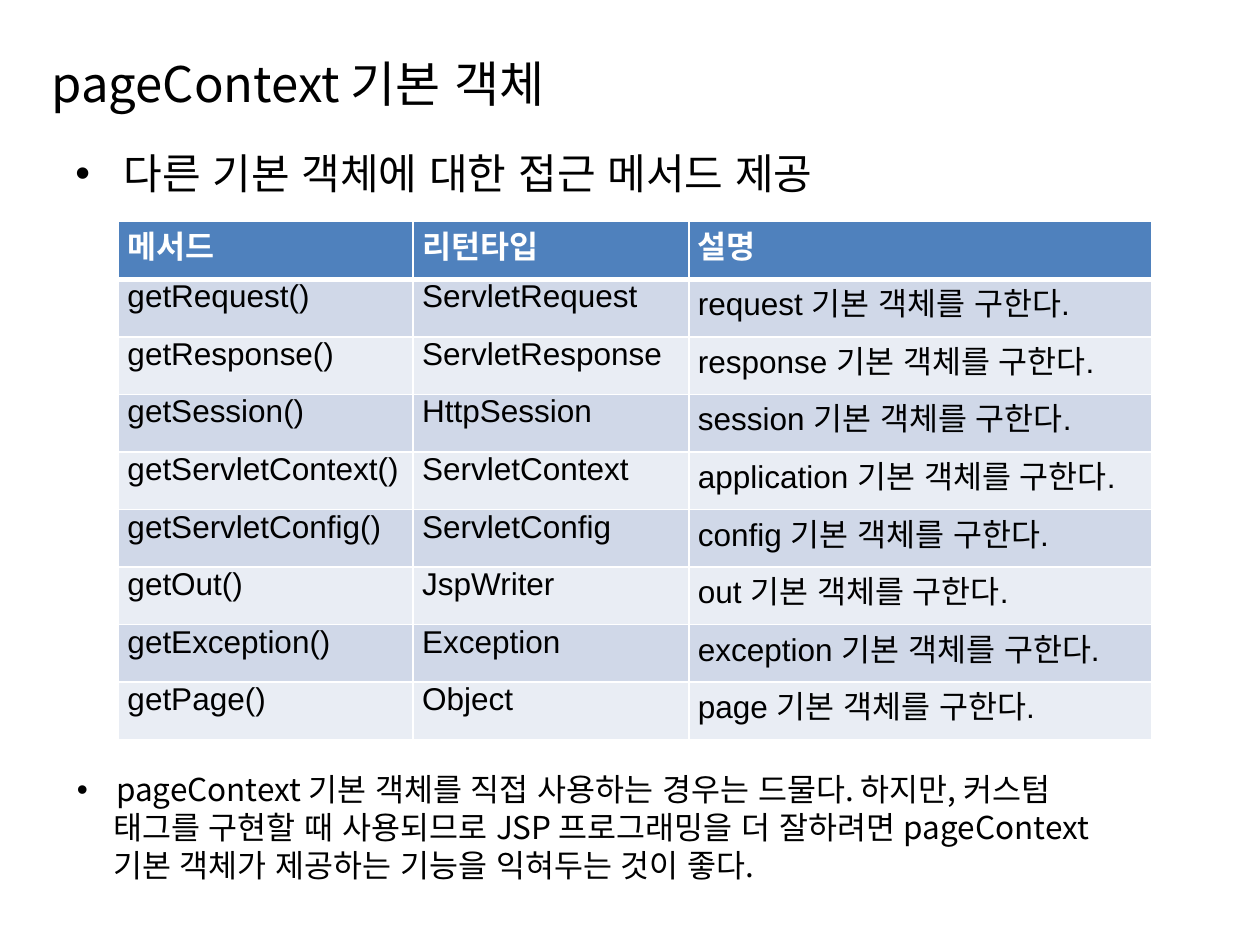
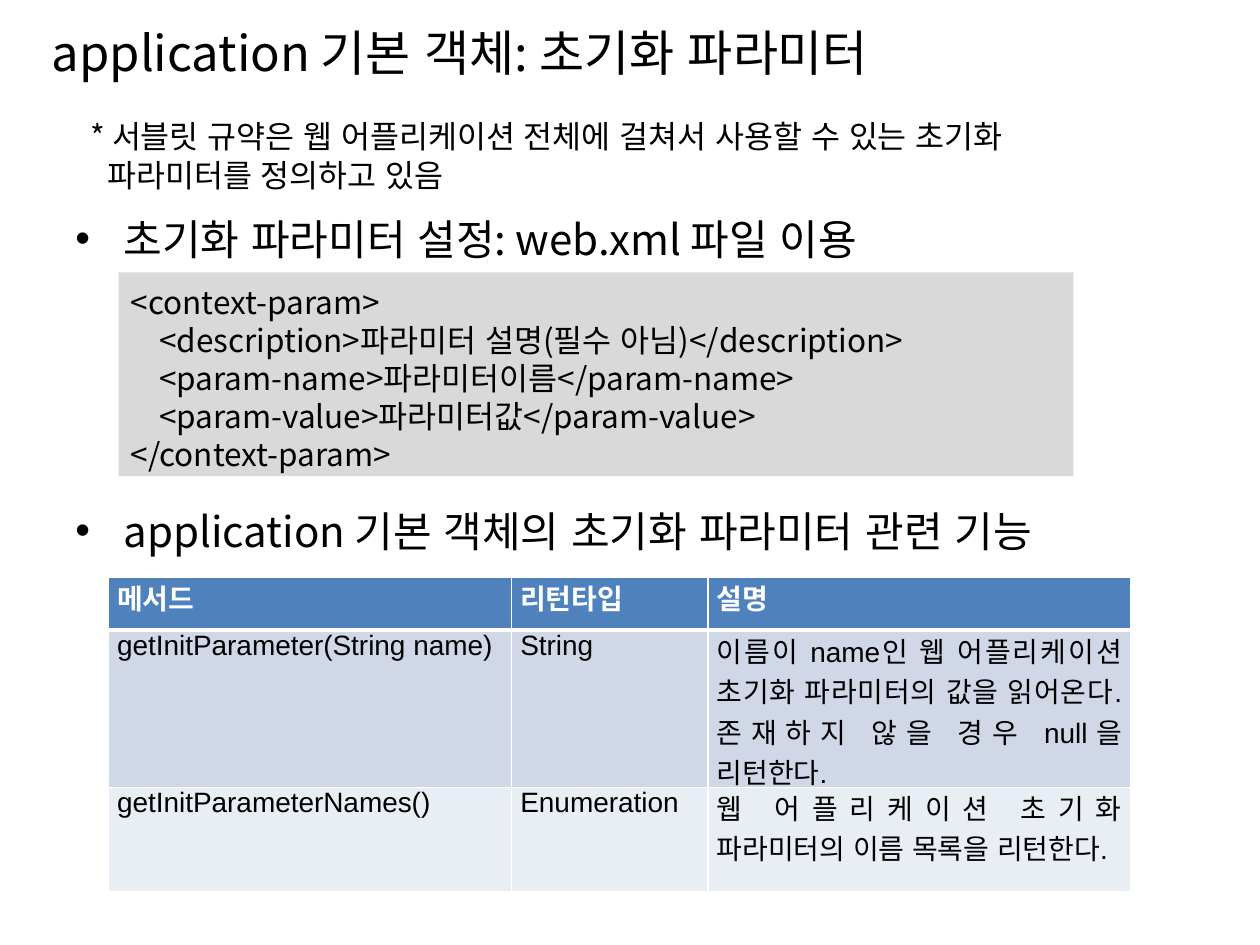
from lxml import etree
from pptx import Presentation
from pptx.dml.color import RGBColor
from pptx.enum.lang import MSO_LANGUAGE_ID
from pptx.enum.shapes import MSO_SHAPE
from pptx.enum.text import MSO_ANCHOR, PP_ALIGN
from pptx.oxml.ns import qn
from pptx.util import Cm, Pt

KOREAN = MSO_LANGUAGE_ID.KOREAN
RECTANGLE = MSO_SHAPE.RECTANGLE
TOP, MIDDLE = MSO_ANCHOR.TOP, MSO_ANCHOR.MIDDLE
LEFT, JUSTIFY = PP_ALIGN.LEFT, PP_ALIGN.JUSTIFY

BLACK = RGBColor(0x00, 0x00, 0x00)
WHITE = RGBColor(0xFF, 0xFF, 0xFF)
HEADER_BLUE = RGBColor(0x4F, 0x81, 0xBD)
BANDS = (RGBColor(0xD0, 0xD8, 0xE8), RGBColor(0xE9, 0xED, 0xF4))
CODE_GRAY = RGBColor(0xD9, 0xD9, 0xD9)

TEXT_FONT = "Noto Sans CJK KR"
TABLE_FONT = "Arial"
TITLE_SIZE, HEADING_SIZE, TEXT_SIZE = 28, 24, 18
LINE_PITCH = 1.21  # line height as a multiple of the font size

TABLE_HEADER = ("메서드", "리턴타입", "설명")
ACCESSORS = [
    ("getRequest()", "ServletRequest", "request"),
    ("getResponse()", "ServletResponse", "response"),
    ("getSession()", "HttpSession", "session"),
    ("getServletContext()", "ServletContext", "application"),
    ("getServletConfig()", "ServletConfig", "config"),
    ("getOut()", "JspWriter", "out"),
    ("getException()", "Exception", "exception"),
    ("getPage()", "Object", "page"),
]
# Lines of text are (indent in cm, text)
CLOSING_NOTE = [
    (0.79, "pageContext 기본 객체를 직접 사용하는 경우는 드물다. 하지만, 커스텀"),
    (0.73, "태그를 구현할 때 사용되므로 JSP 프로그래밍을 더 잘하려면 pageContext"),
    (0.73, "기본 객체가 제공하는 기능을 익혀두는 것이 좋다."),
]
SERVLET_NOTE = [
    (0, "* 서블릿 규약은 웹 어플리케이션 전체에 걸쳐서 사용할 수 있는 초기화"),
    (0.34, "파라미터를 정의하고 있음"),
]
CONTEXT_PARAM_CODE = [
    (0, "<context-param>"),
    (0.57, "<description>파라미터 설명(필수 아님)</description>"),
    (0.57, "<param-name>파라미터이름</param-name>"),
    (0.57, "<param-value>파라미터값</param-value>"),
    (0, "</context-param>"),
]
INIT_PARAMETER_METHODS = [
    ("getInitParameter(String name)", "String",
     "이름이 name인 웹 어플리케이션 초기화 파라미터의 값을 읽어온다. "
     "존재하지 않을 경우 null을 리턴한다."),
    ("getInitParameterNames()", "Enumeration",
     "웹 어플리케이션 초기화 파라미터의 이름 목록을 리턴한다."),
]


def add_run(paragraph, text, size, font=TEXT_FONT, color=BLACK, bold=False):
    run = paragraph.add_run()
    run.text = text
    run.font.size = Pt(size)
    run.font.name = font
    run.font.bold = bold
    run.font.color.rgb = color
    run.font.language_id = KOREAN
    latin = run.font._element.find(qn("a:latin"))
    east_asian = etree.Element(qn("a:ea"), typeface=TEXT_FONT)
    latin.addnext(east_asian)


def indent(paragraph, left, hanging_bullet=False):
    properties = paragraph._p.get_or_add_pPr()
    properties.set("marL", str(Cm(left)))
    properties.set("indent", str(-Cm(left) if hanging_bullet else 0))
    if hanging_bullet:
        etree.SubElement(properties, qn("a:buFont"), typeface="Arial")
        etree.SubElement(properties, qn("a:buChar"), char="•")


def write_lines(frame, lines, size, bulleted=False):
    """Write one paragraph per line; a bullet goes on the first only."""
    frame.word_wrap = True
    frame.vertical_anchor = TOP
    frame.margin_top = Cm(0.2)
    for number, (left, text) in enumerate(lines):
        paragraph = frame.add_paragraph() if number else frame.paragraphs[0]
        paragraph.alignment = LEFT
        paragraph.line_spacing = Pt(round(size * LINE_PITCH, 1))
        indent(paragraph, left, bulleted and number == 0)
        add_run(paragraph, text, size)


def add_titled_slide(deck, text, top):
    slide = deck.slides.add_slide(deck.slide_layouts[5])
    title = slide.shapes.title
    title.left, title.top = Cm(0.79), Cm(top)
    title.width, title.height = Cm(24), Cm(1.63)
    frame = title.text_frame
    write_lines(frame, [(0, text)], TITLE_SIZE)
    frame.vertical_anchor = MIDDLE
    frame.margin_bottom = 0
    return slide


def add_text(slide, lines, box, size=TEXT_SIZE, bulleted=False):
    text_box = slide.shapes.add_textbox(*map(Cm, box))
    write_lines(text_box.text_frame, lines, size, bulleted)


def add_heading(slide, text, top):
    add_text(slide, [(0.97, text)], (1.27, top, 22.86, 1.5),
             HEADING_SIZE, bulleted=True)


def add_code(slide, lines, box):
    panel = slide.shapes.add_shape(RECTANGLE, *map(Cm, box))
    panel.shadow.inherit = False
    panel.fill.solid()
    panel.fill.fore_color.rgb = CODE_GRAY
    panel.line.fill.background()
    write_lines(panel.text_frame, lines, TEXT_SIZE)


def set_borders(cell, top, bottom):
    """Draw white borders, with top and bottom widths in points."""
    properties = cell._tc.get_or_add_tcPr()
    sides = (("L", 1), ("R", 1), ("T", top), ("B", bottom))
    for position, (side, width) in enumerate(sides):
        line = etree.Element(qn(f"a:ln{side}"), w=str(Pt(width)))
        fill = etree.SubElement(line, qn("a:solidFill"))
        etree.SubElement(fill, qn("a:srgbClr"), val=str(WHITE))
        properties.insert(position, line)


def add_method_table(slide, methods, left, top, widths, heights, size):
    rows = [TABLE_HEADER, *methods]
    table = slide.shapes.add_table(
        len(rows), len(widths), Cm(left), Cm(top),
        Cm(sum(widths)), Cm(sum(heights))).table
    for column, width in zip(table.columns, widths):
        column.width = Cm(width)
    for row_number, (values, height) in enumerate(zip(rows, heights)):
        table.rows[row_number].height = Cm(height)
        is_header = row_number == 0
        for column_number, value in enumerate(values):
            cell = table.cell(row_number, column_number)
            cell.margin_left = cell.margin_right = Cm(0.18)
            cell.margin_top = cell.margin_bottom = 0
            cell.fill.solid()
            cell.fill.fore_color.rgb = (
                HEADER_BLUE if is_header else BANDS[(row_number - 1) % 2])
            set_borders(cell, 3 if row_number == 1 else 1, 3 if is_header else 1)
            paragraph = cell.text_frame.paragraphs[0]
            paragraph.alignment = JUSTIFY
            add_run(paragraph, value, size, TABLE_FONT,
                    WHITE if is_header else BLACK, is_header)


def build_page_context(deck):
    slide = add_titled_slide(deck, "pageContext 기본 객체", 0.76)
    add_heading(slide, "다른 기본 객체에 대한 접근 메서드 제공", 2.77)
    methods = [(method, kind, f"{name} 기본 객체를 구한다.")
               for method, kind, name in ACCESSORS]
    add_method_table(slide, methods, 2.39, 4.47, (5.94, 5.56, 9.32),
                     [1.16] * (len(methods) + 1), 18)
    add_text(slide, CLOSING_NOTE, (1.3, 15.32, 22.6, 2.57), bulleted=True)


def build_application(deck):
    slide = add_titled_slide(deck, "application 기본 객체: 초기화 파라미터", 0.13)
    add_text(slide, SERVLET_NOTE, (1.57, 2.16, 21.23, 1.8))
    add_heading(slide, "초기화 파라미터 설정: web.xml 파일 이용", 4.09)
    add_code(slide, CONTEXT_PARAM_CODE, (2.39, 5.49, 19.25, 4.11))
    add_heading(slide, "application 기본 객체의 초기화 파라미터 관련 기능", 9.98)
    add_method_table(slide, INIT_PARAMETER_METHODS, 2.18, 11.63,
                     (8.13, 3.96, 8.53), (1.07, 3.17, 2.11), 16)


def main():
    deck = Presentation()
    deck.slide_width, deck.slide_height = Cm(25.4), Cm(19.05)
    build_page_context(deck)
    build_application(deck)
    deck.save("out.pptx")


if __name__ == "__main__":
    main()
